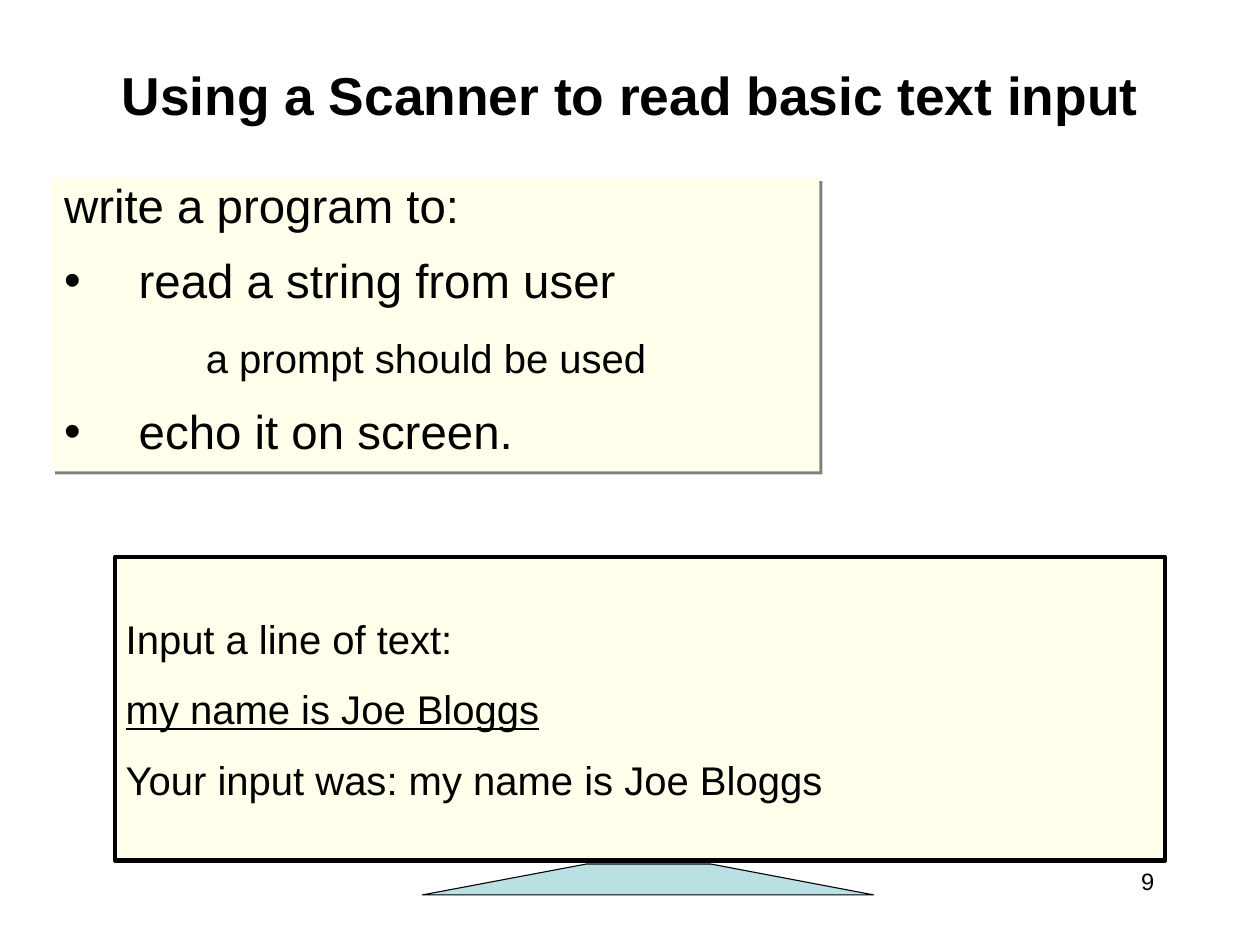
from dataclasses import dataclass

from lxml.etree import SubElement
from pptx import Presentation
from pptx.dml.color import RGBColor
from pptx.enum.shapes import MSO_SHAPE as Preset
from pptx.enum.text import MSO_ANCHOR as Anchor, MSO_AUTO_SIZE as AutoSize, PP_ALIGN as Align
from pptx.oxml.ns import qn
from pptx.util import Inches, Pt

COLORS = {"text": "000000", "panel": "FFFFEB", "stand": "BBE0E3", "shadow": "808080"}
FONT = "Arial"
LIST_INDENT = 0.7


@dataclass(frozen=True)
class Box:
    left: float
    top: float
    width: float
    height: float

    def lengths(self) -> list:
        return [Inches(side) for side in (self.left, self.top, self.width, self.height)]


@dataclass(frozen=True)
class Line:
    text: str
    size: float = 27
    bold: bool = False
    underline: bool = False
    space_before: float = 0


@dataclass(frozen=True)
class ListItem:
    line: Line
    left: float = LIST_INDENT
    hanging: float = LIST_INDENT
    bullet: str = ""


TITLE_BOX = Box(0.49, 0.59, 10.83, 0.59)
TASK_BOX = Box(0.49, 1.67, 7.19, 2.75)
CONSOLE_BOX = Box(1.08, 5.22, 9.84, 2.85)
NUMBER_BOX = Box(8.47, 8.07, 2.46, 0.59)
STAND_POINTS = [(3.96, 8.39), (5.5, 8.1), (6.66, 8.1), (8.19, 8.39)]

TASKS = [
    ListItem(Line("write a program to:", 32)),
    ListItem(Line("read a string from user", 32, space_before=18.4), bullet="•"),
    ListItem(Line("a prompt should be used", space_before=22), left=1.33, hanging=0),
    ListItem(Line("echo it on screen.", 32, space_before=19.5), bullet="•"),
]
CONSOLE_LINES = [
    Line("Input a line of text:", space_before=15),
    Line("my name is Joe Bloggs", underline=True, space_before=15),
    Line("Your input was: my name is Joe Bloggs", space_before=15),
]


def rgb(name: str) -> RGBColor:
    return RGBColor.from_string(COLORS[name])


def place(shape, box: Box) -> None:
    shape.left, shape.top, shape.width, shape.height = box.lengths()


def paint(shape, fill: str, line_width: float) -> None:
    shape.shadow.inherit = False
    shape.fill.solid()
    shape.fill.fore_color.rgb = rgb(fill)
    shape.line.color.rgb = rgb("text")
    shape.line.width = Pt(line_width)


def write(shape, lines: list[Line], *, align=Align.LEFT, anchor=Anchor.TOP,
          inset_x: float = 0.11, inset_y: float = 0.06, line_spacing: float = 1.0) -> None:
    frame = shape.text_frame
    frame.word_wrap = True
    frame.auto_size = AutoSize.NONE
    frame.vertical_anchor = anchor
    frame.margin_left = frame.margin_right = Inches(inset_x)
    frame.margin_top = frame.margin_bottom = Inches(inset_y)
    for index, line in enumerate(lines):
        paragraph = frame.add_paragraph() if index else frame.paragraphs[0]
        paragraph.alignment = align
        paragraph.line_spacing = line_spacing
        paragraph.space_before = Pt(line.space_before)
        run = paragraph.add_run()
        run.text = line.text
        font = run.font
        font.name, font.size = FONT, Pt(line.size)
        font.bold, font.underline = line.bold, line.underline
        font.color.rgb = rgb("text")


def format_item(paragraph, item: ListItem) -> None:
    properties = paragraph._p.get_or_add_pPr()
    properties.set("marL", str(Inches(item.left)))
    properties.set("indent", str(-Inches(item.hanging)))
    if item.bullet:
        SubElement(properties, qn("a:buChar"), char=item.bullet)
    else:
        SubElement(properties, qn("a:buNone"))


def add_hard_shadow(shape) -> None:
    """Cast an unblurred shadow to the lower right."""
    effects = SubElement(shape._element.spPr, qn("a:effectLst"))
    shadow = SubElement(effects, qn("a:outerShdw"), blurRad="0", dist=str(Pt(2.8)),
                        dir=str(45 * 60000), algn="ctr", rotWithShape="0")
    SubElement(shadow, qn("a:srgbClr"), val=COLORS["shadow"])


def add_task_list(body) -> None:
    place(body, TASK_BOX)
    body.fill.solid()
    body.fill.fore_color.rgb = rgb("panel")
    add_hard_shadow(body)
    write(body, [item.line for item in TASKS], line_spacing=0.85)
    for paragraph, item in zip(body.text_frame.paragraphs, TASKS):
        format_item(paragraph, item)


def add_console(slide) -> None:
    """Draw the screen with its program output, and the stand below it."""
    screen = slide.shapes.add_shape(Preset.RECTANGLE, *CONSOLE_BOX.lengths())
    paint(screen, "panel", 3)
    write(screen, CONSOLE_LINES, anchor=Anchor.MIDDLE, inset_x=0.1, inset_y=0.05)

    start, *corners = [(Inches(x), Inches(y)) for x, y in STAND_POINTS]
    builder = slide.shapes.build_freeform(*start)
    builder.add_line_segments(corners, close=True)
    paint(builder.convert_to_shape(), "stand", 0.75)


def main() -> None:
    presentation = Presentation()
    presentation.slide_width = Inches(11.81)
    presentation.slide_height = Inches(8.86)
    slide = presentation.slides.add_slide(presentation.slide_layouts[1])

    title = slide.shapes.title
    place(title, TITLE_BOX)
    write(title, [Line("Using a Scanner to read basic text input", 36, bold=True)],
          align=Align.CENTER, anchor=Anchor.MIDDLE)
    add_task_list(slide.placeholders[1])
    add_console(slide)
    page_number = slide.shapes.add_textbox(*NUMBER_BOX.lengths())
    write(page_number, [Line("9", 16)], align=Align.RIGHT)

    presentation.save("out.pptx")


if __name__ == "__main__":
    main()
